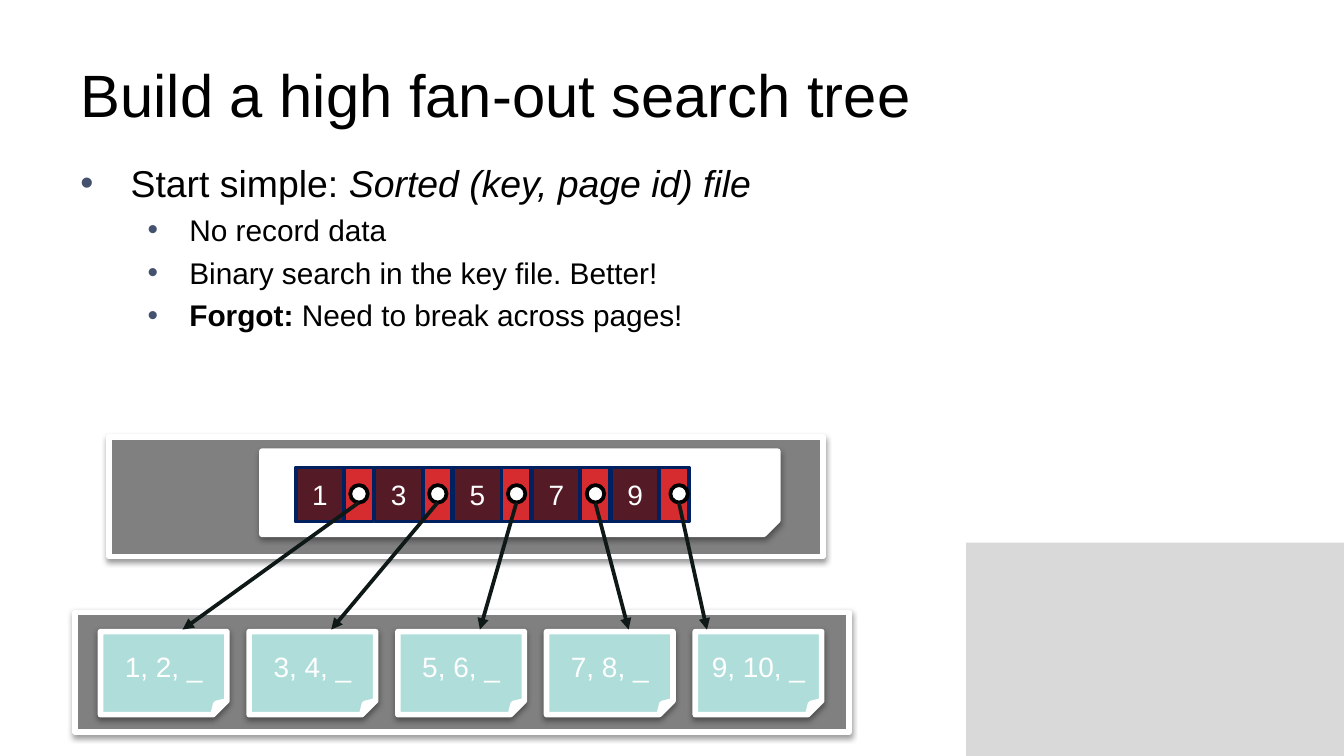
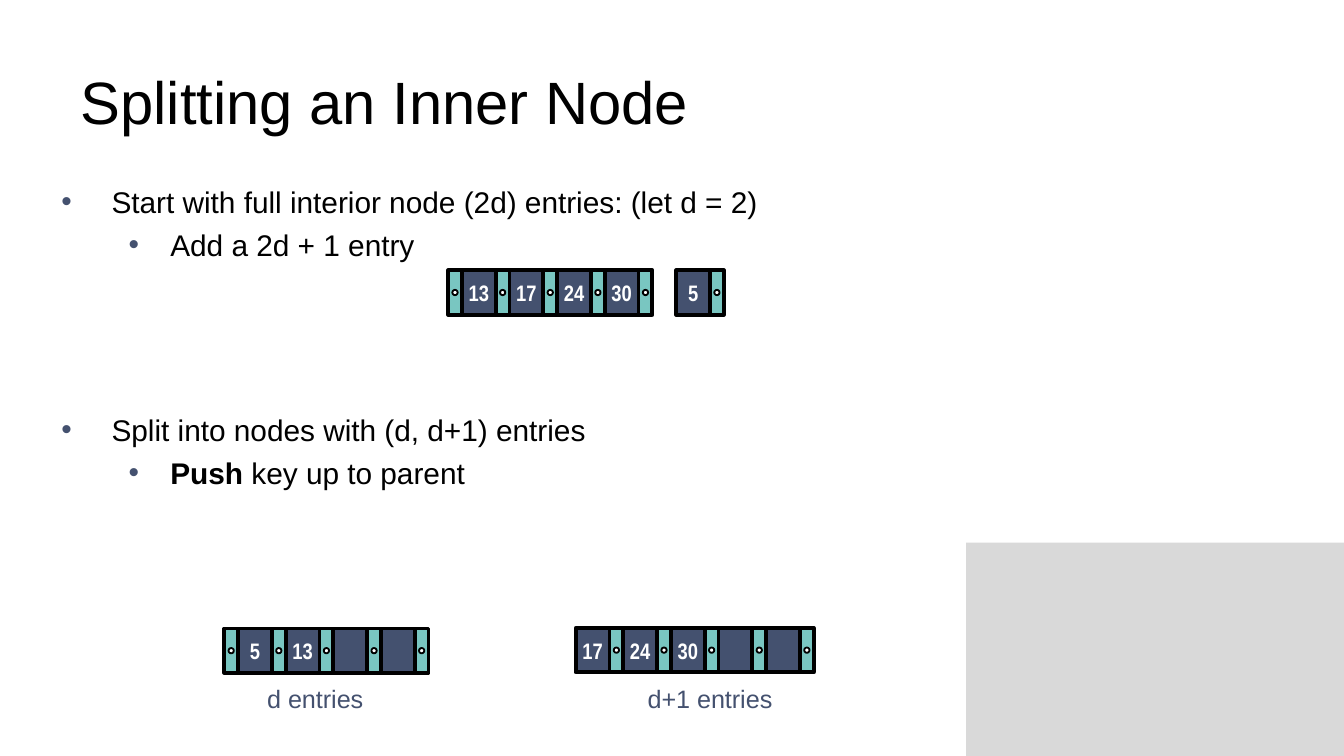
from lxml.etree import SubElement
from pptx import Presentation
from pptx.dml.color import RGBColor
from pptx.enum.shapes import MSO_CONNECTOR, MSO_SHAPE as Preset
from pptx.enum.text import MSO_ANCHOR as Anchor, MSO_AUTO_SIZE as AutoSize, PP_ALIGN as Align
from pptx.oxml.ns import qn
from pptx.util import Cm, Pt

BLACK = RGBColor(0x00, 0x00, 0x00)
WHITE = RGBColor(0xFF, 0xFF, 0xFF)
CORNER_GRAY = RGBColor(0xD9, 0xD9, 0xD9)
BAND_GRAY = RGBColor(0x80, 0x80, 0x80)
SLATE = RGBColor(0x44, 0x51, 0x6F)
TEAL = RGBColor(0x79, 0xC6, 0xC1)
PALE_TEAL = RGBColor(0xAF, 0xDD, 0xDA)
MAROON = RGBColor(0x54, 0x1B, 0x27)
RED = RGBColor(0xD7, 0x2C, 0x2F)
NAVY = RGBColor(0x00, 0x20, 0x60)
ARROW = RGBColor(0x0E, 0x18, 0x17)

TITLE_ONLY = 5
INDENTS = [(0.95, -0.95), (2.06, -0.79)]  # left margin and first line, by level


def write(paragraph, text, size=15, color=WHITE, font="Arial", bold=False, italic=False, align=None):
    """Add one formatted run to the paragraph."""
    run = paragraph.add_run()
    run.text = text
    run.font.size = Pt(size)
    run.font.name = font
    run.font.color.rgb = color
    run.font.bold = bold
    run.font.italic = italic
    if align is not None:
        paragraph.alignment = align


def add_bullet(paragraph, level):
    margin, first_line = INDENTS[level]
    props = paragraph._p.get_or_add_pPr()
    props.set("marL", str(Cm(margin)))
    props.set("indent", str(Cm(first_line)))
    color = SubElement(props, qn("a:buClr"))
    SubElement(color, qn("a:srgbClr"), val=str(SLATE))
    SubElement(props, qn("a:buFont"), typeface="Arial")
    SubElement(props, qn("a:buChar"), char="•")


class Deck:
    def __init__(self):
        self.prs = Presentation()
        self.prs.slide_width = Cm(25.4)
        self.prs.slide_height = Cm(14.29)
        self.slide = None

    def new_slide(self, title, title_top):
        self.slide = self.prs.slides.add_slide(self.prs.slide_layouts[TITLE_ONLY])
        self.shape(Preset.RECTANGLE, 18.26, 10.26, 7.14, 4.03, CORNER_GRAY)
        heading = self.slide.shapes.title
        heading.left, heading.top = Cm(1.27), Cm(title_top)
        heading.width, heading.height = Cm(22.86), Cm(2.39)
        frame = heading.text_frame
        frame.auto_size = AutoSize.NONE
        frame.vertical_anchor = Anchor.MIDDLE
        write(frame.paragraphs[0], title, size=32, color=BLACK, align=Align.LEFT)

    def shape(self, preset, left, top, width, height, fill, line=None, weight=2,
              text="", insets=None, **style):
        box = self.slide.shapes.add_shape(preset, Cm(left), Cm(top), Cm(width), Cm(height))
        box.shadow.inherit = False
        box.fill.solid()
        box.fill.fore_color.rgb = fill
        if line is None:
            box.line.fill.background()
        else:
            box.line.color.rgb = line
            box.line.width = Pt(weight)
        if text:
            frame = box.text_frame
            frame.vertical_anchor = Anchor.MIDDLE
            if insets:
                frame.margin_left = frame.margin_right = Cm(insets[0])
                frame.margin_top = frame.margin_bottom = Cm(insets[1])
            write(frame.paragraphs[0], text, align=Align.CENTER, **style)
        return box

    def raised(self, preset, left, top, width, height, fill, text=""):
        """Add a white-edged shape that casts a soft shadow downwards."""
        box = self.shape(preset, left, top, width, height, fill, WHITE, 3, text)
        effects = box.element.spPr.find(qn("a:effectLst"))
        shadow = SubElement(effects, qn("a:outerShdw"), blurRad=str(Pt(3.1)),
                            dist=str(Pt(1.6)), dir="5400000", rotWithShape="0")
        color = SubElement(shadow, qn("a:srgbClr"), val=str(BLACK))
        SubElement(color, qn("a:alpha"), val="38000")

    def arrow(self, x1, y1, x2, y2):
        link = self.slide.shapes.add_connector(
            MSO_CONNECTOR.STRAIGHT, Cm(x1), Cm(y1), Cm(x2), Cm(y2))
        link.line.color.rgb = ARROW
        link.line.width = Pt(2)
        props = link.element.spPr
        SubElement(props.find(qn("a:ln")), qn("a:tailEnd"), type="triangle")
        SubElement(props, qn("a:effectLst"))

    def text_box(self, left, top, width, height, wrap):
        box = self.slide.shapes.add_textbox(Cm(left), Cm(top), Cm(width), Cm(height))
        box.text_frame.word_wrap = wrap
        return box.text_frame

    def bullets(self, left, top, items):
        """Items are (level, size, space before or None, [(text, format), ...])."""
        frame = self.text_box(left, top, 22.86, 9.42, wrap=True)
        for index, (level, size, gap, runs) in enumerate(items):
            paragraph = frame.add_paragraph() if index else frame.paragraphs[0]
            paragraph.level = level
            paragraph.space_before = Pt(gap or 0.23 * size)
            add_bullet(paragraph, level)
            for text, style in runs:
                write(paragraph, text, size=size, color=BLACK, **style)

    def caption(self, left, top, width, text):
        frame = self.text_box(left, top, width, 0.84, wrap=False)
        frame.auto_size = AutoSize.SHAPE_TO_FIT_TEXT
        write(frame.paragraphs[0], text, size=13.5, color=SLATE)

    def node(self, left, top, keys, leading_pointer=True):
        """Draw an inner node: keys, each followed by a pointer."""
        key_width, pointer_width, height = 0.64, 0.26, 0.84

        def pointer(x):
            self.shape(Preset.RECTANGLE, x, top, pointer_width, height, TEAL, BLACK)
            self.shape(Preset.OVAL, x + 0.08, top + 0.37, 0.1, 0.1, WHITE, BLACK, 1)

        if leading_pointer:
            pointer(left)
            left += pointer_width
        for key in keys:
            self.shape(Preset.RECTANGLE, left, top, key_width, height, SLATE, BLACK, text=key,
                       insets=(0, 0.13), size=12, font="Arial Narrow", bold=True)
            pointer(left + key_width)
            left += key_width + pointer_width


def build_search_tree(deck):
    deck.new_slide("Build a high fan-out search tree", 0.58)
    deck.bullets(1.27, 2.9, [
        (0, 20, None, [("Start simple: ", {}), ("Sorted (key, page id) file", {"italic": True})]),
        (1, 16, None, [("No record data", {})]),
        (1, 16, None, [("Binary search in the key file. Better!", {})]),
        (1, 16, None, [("Forgot: ", {"bold": True}), ("Need to break across pages!", {})]),
    ])
    deck.raised(Preset.RECTANGLE, 2.06, 8.26, 13.49, 2.26, BAND_GRAY)
    deck.raised(Preset.RECTANGLE, 1.42, 11.58, 14.63, 2.26, BAND_GRAY)
    deck.raised(Preset.FOLDED_CORNER, 4.95, 8.53, 9.75, 1.57, WHITE)

    pages = [("1", "1, 2, _"), ("3", "3, 4, _"), ("5", "5, 6, _"), ("7", "7, 8, _"),
             ("9", "9, 10, _")]
    arrows = []
    for index, (key, records) in enumerate(pages):
        key_left = 5.59 + 1.49 * index
        page_left = 1.9 + 2.81 * index
        last = index == len(pages) - 1
        deck.raised(Preset.FOLDED_CORNER, page_left, 11.94, 2.39, 1.57, PALE_TEAL, records)
        deck.shape(Preset.RECTANGLE, key_left, 8.84, 0.91, 1.02, MAROON, NAVY,
                   text=key, insets=(0.18, 0.1))
        deck.shape(Preset.RECTANGLE, key_left + 0.91, 8.84, 0.56, 1.02, RED, NAVY)
        dot_left = key_left + (1.12 if last else 1.03)
        deck.shape(Preset.OVAL, dot_left, 9.17, 0.33, 0.33, WHITE, BLACK)
        arrows.append((dot_left + 0.16, 9.5, page_left + (0.22 if last else 1.55), 11.9))
    for ends in arrows:
        deck.arrow(*ends)


def build_node_split(deck):
    deck.new_slide("Splitting an Inner Node", 0.71)
    deck.bullets(0.91, 3.35, [
        (0, 16, None, [("Start with full interior node (2d) entries: (let d = 2)", {})]),
        (1, 16, None, [("Add a 2d + 1 entry", {})]),
        (0, 16, 80, [("Split into nodes with (d, d+1) entries", {})]),
        (1, 16, None, [("Push", {"bold": True}), (" key up to parent", {})]),
    ])
    deck.caption(4.8, 12.8, 2.36, "d entries")
    deck.caption(11.99, 12.8, 2.92, "d+1 entries")
    deck.node(8.47, 5.11, ["13", "17", "24", "30"])
    deck.node(12.78, 5.11, ["5"], leading_pointer=False)
    deck.node(4.24, 11.88, ["5", "13", "", ""])
    deck.node(10.88, 11.87, ["17", "24", "30", "", ""], leading_pointer=False)


def main():
    deck = Deck()
    build_search_tree(deck)
    build_node_split(deck)
    deck.prs.save("out.pptx")


if __name__ == "__main__":
    main()
